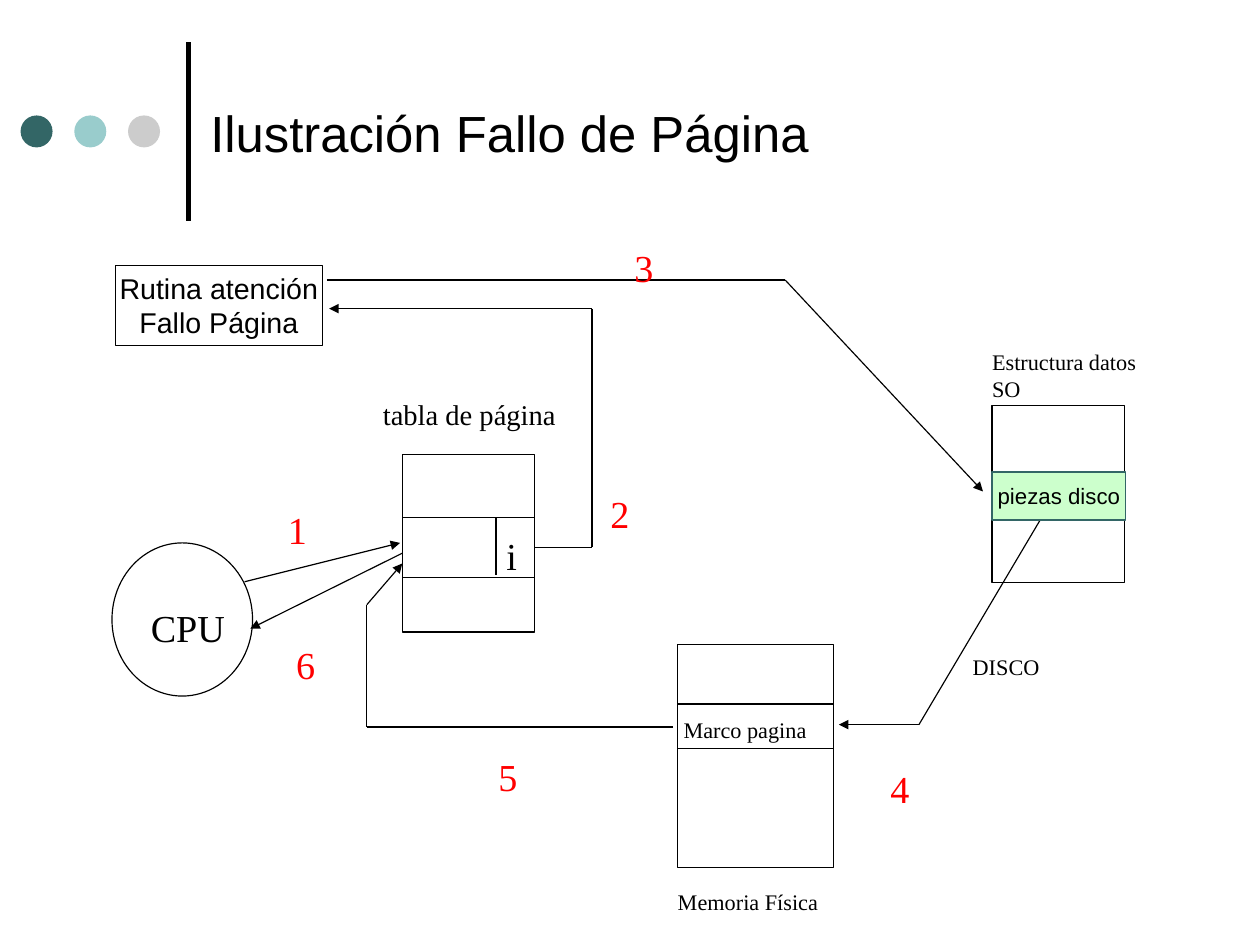
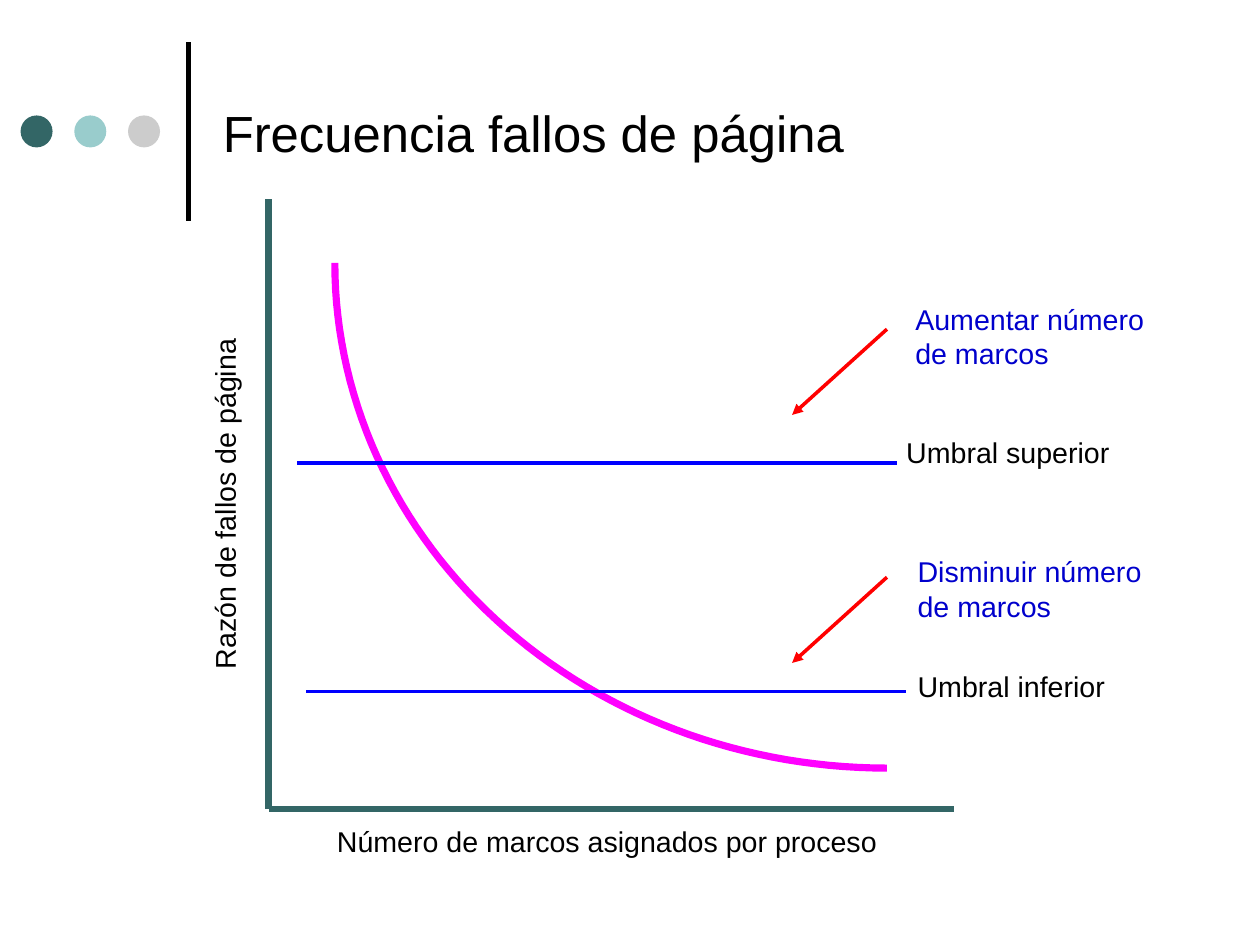
from itertools import pairwise
from math import cos, pi, sin

from pptx import Presentation
from pptx.dml.color import RGBColor
from pptx.enum.shapes import MSO_CONNECTOR, MSO_SHAPE
from pptx.enum.text import MSO_ANCHOR, MSO_AUTO_SIZE, PP_ALIGN
from pptx.oxml.ns import qn
from pptx.util import Cm, Inches, Pt
from lxml.etree import SubElement

COLORS = {
    "black": "000000", "teal": "336666", "aqua": "99CCCC", "grey": "CCCCCC",
    "mint": "CCFFCC", "red": "FF0000", "blue": "0000FF", "navy": "0000CC",
    "magenta": "FF00FF",
}
SANS, SERIF = "Arial", "Times New Roman"
PADDED = (1, 0.5)


def grid(*cells):
    """Turn counts of grid cells, a tenth of an inch each, into lengths."""
    return [Inches(cell / 10) for cell in cells]


def color(name):
    """Look up a named colour."""
    return RGBColor.from_string(COLORS[name])


def write(shape, text, size=18, font=SANS, ink="black", align=PP_ALIGN.LEFT,
          anchor=MSO_ANCHOR.TOP, inset=(0, 0), wrap=False, grow=False):
    """Fill a shape with formatted text, one paragraph a line."""
    frame = shape.text_frame
    frame.word_wrap = wrap
    frame.auto_size = MSO_AUTO_SIZE.SHAPE_TO_FIT_TEXT if grow else MSO_AUTO_SIZE.NONE
    frame.vertical_anchor = anchor
    frame.margin_left, frame.margin_top = grid(*inset)
    frame.margin_right, frame.margin_bottom = grid(*inset)
    frame.text = text
    for para in frame.paragraphs:
        para.alignment = align
        para.font.size = Pt(size)
        para.font.name = font
        para.font.color.rgb = color(ink)


def add_text(page, at, text, turn=0, grow=True, **style):
    """Add a text box, turned by the given degrees."""
    box = page.shapes.add_textbox(*grid(*at))
    box.rotation = turn
    write(box, text, grow=grow, **style)


def paint(shape, fill=None, line=None, weight=0.75):
    """Set the fill and outline of a shape, each absent by default."""
    shape.shadow.inherit = False
    if fill:
        shape.fill.solid()
        shape.fill.fore_color.rgb = color(fill)
    else:
        shape.fill.background()
    if line:
        shape.line.color.rgb = color(line)
        shape.line.width = Pt(weight)
    else:
        shape.line.fill.background()


def add_box(page, at, kind=MSO_SHAPE.RECTANGLE, **look):
    """Add a painted preset shape."""
    box = page.shapes.add_shape(kind, *grid(*at))
    paint(box, **look)
    return box


def add_line(page, start, end, ink="black", weight=0.75, arrow=False):
    """Add a straight line, with an arrowhead at its end if asked."""
    line = page.shapes.add_connector(MSO_CONNECTOR.STRAIGHT, *grid(*start, *end))
    line.line.color.rgb = color(ink)
    line.line.width = Pt(weight)
    properties = line._element.spPr
    if arrow:
        SubElement(properties.find(qn("a:ln")), qn("a:tailEnd"), type="triangle")
    SubElement(properties, qn("a:effectLst"))


def add_route(page, *points):
    """Join points with lines, the last of them an arrow."""
    for start, end in pairwise(points):
        add_line(page, start, end, arrow=end == points[-1])


def add_store(page, at, dividers=()):
    """Add an outlined memory block split by lines at the given rows."""
    add_box(page, at, line="black")
    for row in dividers:
        add_line(page, (at[0], row), (at[0] + at[2], row))


def add_curve(page, center, radii, ink, weight, steps=60):
    """Draw the lower left quarter of an ellipse as an open outline."""
    angles = [pi / 2 * (1 + step / steps) for step in range(steps + 1)]
    points = [grid(center[0] + radii[0] * cos(angle), center[1] + radii[1] * sin(angle))
              for angle in angles]
    builder = page.shapes.build_freeform(*points[0])
    builder.add_line_segments(points[1:], close=False)
    paint(builder.convert_to_shape(), line=ink, weight=weight)


def add_page(deck, title, inset=(0, 0)):
    """Start a page with the shared rule, dots and title."""
    page = deck.slides.add_slide(deck.slide_layouts[6])
    add_line(page, (16.5, 19.3), (16.5, 3.7), weight=3)
    for place, fill in enumerate(("teal", "aqua", "grey")):
        add_box(page, (1.8 + 4.7 * place, 10.1, 2.8, 2.8), MSO_SHAPE.OVAL, fill=fill)
    add_text(page, (18.4, 2.3, 84.6, 18.5), title, size=32, grow=False,
             anchor=MSO_ANCHOR.MIDDLE, inset=inset, wrap=True)
    return page


def add_fault_page(deck):
    """Show the six steps of a page fault."""
    page = add_page(deck, "Ilustración Fallo de Página")
    centered = {"align": PP_ALIGN.CENTER, "anchor": MSO_ANCHOR.MIDDLE, "inset": PADDED}

    add_store(page, (35.2, 39.8, 11.6, 15.5), dividers=(45.3, 50.5))
    add_line(page, (43.4, 45.3), (43.4, 50.3))
    add_store(page, (59.3, 56.4, 13.6, 19.5), dividers=(61.6, 65.5))
    add_store(page, (86.8, 35.5, 11.6, 15.5))
    add_box(page, (9.8, 47.5, 12.3, 13.4), MSO_SHAPE.OVAL, line="black")
    routine = add_box(page, (10.1, 23.2, 18.1, 7), line="black")
    write(routine, "Rutina atención\nFallo Página", **centered)

    add_route(page, (21.4, 50.9), (35, 47.5))
    add_route(page, (46.8, 47.9), (51.8, 47.9), (51.8, 27), (28.8, 27))
    add_route(page, (28.6, 24.5), (68.7, 24.5), (86, 43))
    add_route(page, (91, 45.5), (80.4, 63.4), (73.4, 63.4))
    add_route(page, (58.9, 63.6), (32.1, 63.6), (32.1, 52.9), (35.2, 49.3))
    add_route(page, (35.2, 48.4), (21.9, 55))

    pieces = add_box(page, (86.8, 41.3, 11.7, 4.2), fill="mint", line="teal")
    write(pieces, "piezas disco", size=14, **centered)

    steps = ((25.2, 44.3), (53.4, 42.9), (55.5, 21.4), (77.9, 67), (43.6, 65.9), (25.9, 56.1))
    for number, place in enumerate(steps, 1):
        add_text(page, (*place, 1.7, 4), str(number), size=24, font=SERIF, ink="red")

    labels = (
        ((13.2, 52.9, 6.6, 4), "CPU", 24),
        ((44.3, 46.6, 1, 4), "i", 24),
        ((33.5, 34.7, 18.3, 3), "tabla de página", 18),
        ((85.1, 57.2, 6.5, 2.3), "DISCO", 14),
        ((59.3, 77.7, 13, 2.3), "Memoria Física", 14),
        ((59.8, 62.7, 11.5, 2.3), "Marco pagina", 14),
        ((86.8, 30.5, 14, 4.7), "Estructura datos\nSO", 14),
    )
    for at, text, size in labels:
        add_text(page, at, text, size=size, font=SERIF, wrap=True)


def add_frequency_page(deck):
    """Show the fault rate against the frames given to a process."""
    page = add_page(deck, "Frecuencia fallos de página", inset=(1.1, 0.6))
    origin = (23.5, 70.8)
    for end in ((23.5, 17.4), (83.5, 70.8)):
        add_line(page, origin, end, ink="teal", weight=4)
    axis = {"align": PP_ALIGN.CENTER, "inset": PADDED, "wrap": True}
    add_text(page, (23.5, 71.6, 59.2, 4), "Número de marcos asignados por proceso", **axis)
    add_text(page, (-13.7, 42.1, 66.7, 4), "Razón de fallos de página", turn=270, **axis)

    add_curve(page, center=(77.6, 23), radii=(48.3, 44.2), ink="magenta", weight=4.5)
    for left, row in ((26, 40.5), (26.8, 60.5)):
        add_line(page, (left, row), (left + 52.5, row), ink="blue", weight=2.5)
    for row in (28.8, 50.5):
        add_line(page, (77.6, row), (69.3, row + 7.5), ink="red", weight=2.25, arrow=True)

    labels = (
        ((78.3, 37.6, 19.8, 4), "Umbral superior", "black"),
        ((79.3, 58, 18.4, 4), "Umbral inferior", "black"),
        ((79.1, 25.9, 22, 7), "Aumentar número\nde marcos", "navy"),
        ((79.3, 48, 21.6, 7), "Disminuir número\nde marcos", "navy"),
    )
    for at, text, ink in labels:
        add_text(page, at, text, ink=ink, inset=PADDED)


def main():
    """Build and save the deck."""
    deck = Presentation()
    deck.slide_width, deck.slide_height = Cm(28), Cm(21)
    add_fault_page(deck)
    add_frequency_page(deck)
    deck.save("out.pptx")


if __name__ == "__main__":
    main()
